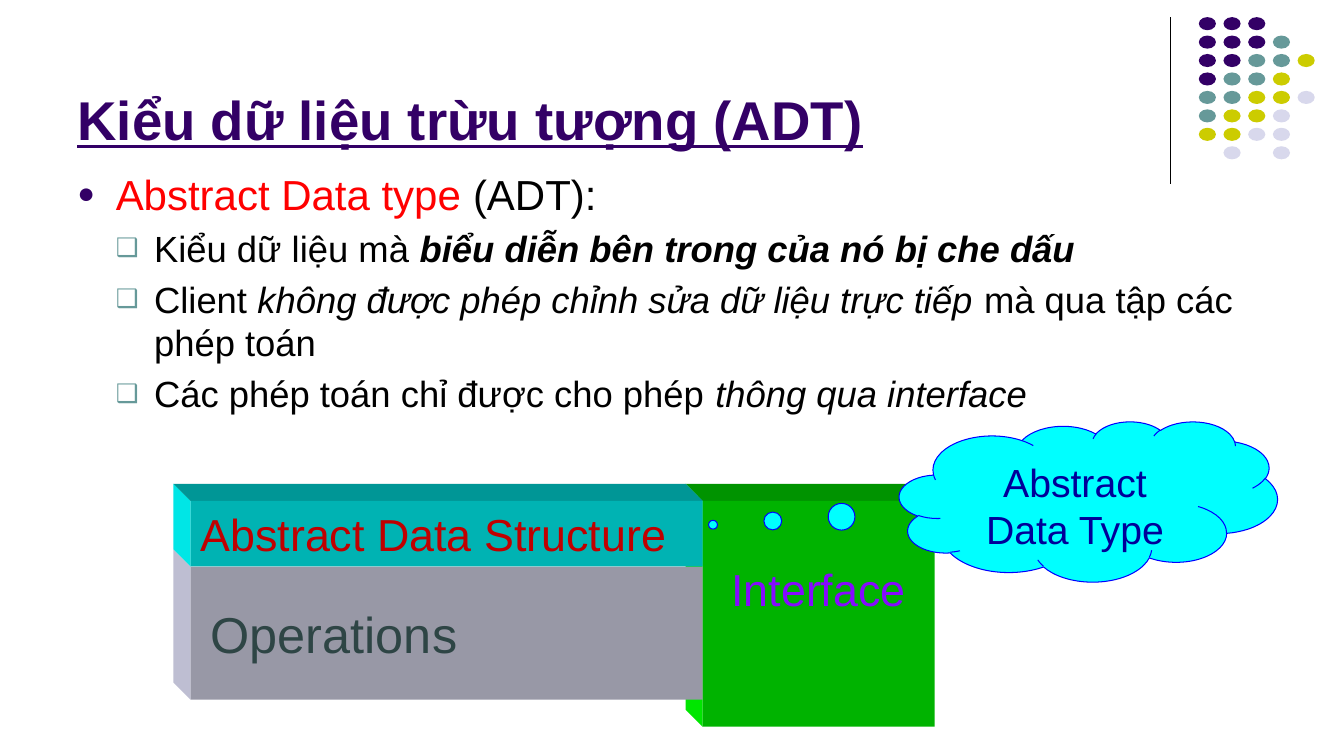
import pptx
import pptx.dml.color
import pptx.enum.shapes
import pptx.enum.text
import pptx.oxml
import pptx.oxml.ns
import pptx.util
from lxml import etree

Inches = pptx.util.Inches
Shape = pptx.enum.shapes.MSO_SHAPE
Anchor = pptx.enum.text.MSO_ANCHOR
Align = pptx.enum.text.PP_ALIGN

PURPLE, TEAL, OLIVE, LAVENDER = "330066", "669999", "CCCC00", "D8D8EC"
DOT_COLORS = {"P": PURPLE, "T": TEAL, "O": OLIVE, "L": LAVENDER}
DOT_ROWS = ["PPP", "PPPT", "PPTTO", "PTTO", "TTOOL", "TOOL", "OOLL", ".L.L"]
DEPTH = 0.17  # how far the blocks extend up and to the left


def color(hex_string):
    return pptx.dml.color.RGBColor.from_string(hex_string)


def paint(shape, fill, line=None):
    shape.shadow.inherit = False
    shape.fill.solid()
    shape.fill.fore_color.rgb = color(fill)
    if line:
        shape.line.color.rgb = color(line)
        shape.line.width = pptx.util.Pt(0.75)
    else:
        shape.line.fill.background()


def set_frame(shape, anchor, insets=(0.1, 0.05, 0.1, 0.05)):
    frame = shape.text_frame
    frame.word_wrap = True
    frame.vertical_anchor = anchor
    for side, inset in zip(("left", "top", "right", "bottom"), insets):
        setattr(frame, f"margin_{side}", Inches(inset))
    return frame


def add_run(paragraph, text, size, hex_string, **formats):
    run = paragraph.add_run()
    run.text = text
    run.font.color.rgb = color(hex_string)
    values = {"name": "Arial", "size": pptx.util.Pt(size), **formats}
    for name, value in values.items():
        setattr(run.font, name, value)


def add_bullet(paragraph, character, hex_string, margin, hanging):
    properties = paragraph._p.get_or_add_pPr()
    properties.set("marL", str(Inches(margin)))
    properties.set("indent", str(-Inches(hanging)))
    namespace = pptx.oxml.ns.nsdecls("a")
    for xml in (
        f'<a:buClr {namespace}><a:srgbClr val="{hex_string}"/></a:buClr>',
        f'<a:buSzPct {namespace} val="70000"/>',
        f'<a:buFont {namespace} typeface="Arial"/>',
        f'<a:buChar {namespace} char="{character}"/>',
    ):
        properties.append(pptx.oxml.parse_xml(xml))


def add_corner_ornament(slide, left, top, width, height):
    # Vertical rule
    rule = slide.shapes.add_connector(
        pptx.enum.shapes.MSO_CONNECTOR.STRAIGHT,
        Inches(left), Inches(top), Inches(left), Inches(top + height))
    rule.line.color.rgb = color("000000")
    rule.line.width = pptx.util.Pt(0.75)
    etree.SubElement(rule._element.spPr, pptx.oxml.ns.qn("a:effectLst"))

    # Dot grid, flush with the right edge of the box
    dot_width, dot_height, column_step, row_step = 0.17, 0.13, 0.245, 0.183
    grid_left = left + width - dot_width - 4 * column_step
    for row, codes in enumerate(DOT_ROWS):
        for column, code in enumerate(codes):
            if code in DOT_COLORS:
                dot = slide.shapes.add_shape(
                    Shape.OVAL,
                    Inches(grid_left + column * column_step),
                    Inches(top + row * row_step),
                    Inches(dot_width), Inches(dot_height))
                paint(dot, DOT_COLORS[code])


def add_title(slide, left, top, width, height):
    box = slide.shapes.add_textbox(*map(Inches, (left, top, width, height)))
    frame = set_frame(box, Anchor.BOTTOM)
    add_run(frame.paragraphs[0], "Kiểu dữ liệu trừu tượng (ADT)", 39, PURPLE,
            bold=True, underline=True)


def add_body(slide, left, top, width, height):
    box = slide.shapes.add_textbox(*map(Inches, (left, top, width, height)))
    frame = set_frame(box, Anchor.TOP)
    heading = frame.paragraphs[0]
    add_bullet(heading, "●", PURPLE, 0.38, 0.38)
    add_run(heading, "Abstract Data type ", 30, "FF0000")
    add_run(heading, "(ADT):", 30, "000000")

    emphasis = {"italic": True}
    points = [
        [("Kiểu dữ liệu mà ", {}),
         ("biểu diễn bên trong của nó bị che dấu", {"bold": True, "italic": True})],
        [("Client ", {}),
         ("không được phép chỉnh sửa dữ liệu trực tiếp", emphasis),
         (" mà qua tập các phép toán", {})],
        [("Các phép toán chỉ được cho phép ", {}),
         ("thông qua interface", emphasis)],
    ]
    for point in points:
        paragraph = frame.add_paragraph()
        paragraph.level = 1
        paragraph.space_before = pptx.util.Pt(5.2)
        add_bullet(paragraph, "❑", TEAL, 0.76, 0.38)
        for text, formats in point:
            add_run(paragraph, text, 26, "000000", **formats)


def add_face(slide, points, fill):
    corners = [(Inches(x), Inches(y)) for x, y in points]
    builder = slide.shapes.build_freeform(*corners[0], scale=1.0)
    builder.add_line_segments(corners[1:], close=True)
    paint(builder.convert_to_shape(), fill)


def add_block(slide, box, front, side, top_face=None):
    left, top, width, height = box
    right, bottom = left + width, top + height
    back_left, back_top = left - DEPTH, top - DEPTH
    add_face(slide, [(left, top), (back_left, back_top),
                     (back_left, bottom - DEPTH), (left, bottom)], side)
    if top_face:
        add_face(slide, [(left, top), (back_left, back_top),
                         (right - DEPTH, back_top), (right, top)], top_face)
    block = slide.shapes.add_shape(Shape.RECTANGLE, *map(Inches, box))
    paint(block, front)
    return block


def add_diagram(slide, left, top, width, height):
    data_width, data_height, operations_height = 5.08, 0.65, 1.32
    interface_left = left + data_width

    # Extruded blocks, back to front
    interface = add_block(
        slide, (interface_left, top, width - data_width, height),
        "00B300", "00E600", "009300")
    operations = add_block(
        slide, (left, top + data_height, data_width, operations_height),
        "9898A6", "BEBED2")
    data = add_block(
        slide, (left, top, data_width, data_height),
        "00B3B3", "00E6E6", "009696")

    # Cloud with its trail of bubbles
    cloud = slide.shapes.add_shape(
        Shape.CLOUD_CALLOUT, Inches(interface_left + 1.95), Inches(top - 0.79),
        Inches(3.75), Inches(1.59))
    cloud.adjustments[0] = -0.993
    cloud.adjustments[1] = 0.145
    paint(cloud, "00FFFF", "0000FF")

    # Labels
    middle, plain = Anchor.MIDDLE, (0.1, 0.05, 0.1, 0.05)
    for shape, text, size, hex_string, align, anchor, insets in (
        (interface, "Interface", 32, "850AFF", Align.CENTER, Anchor.TOP,
         (0.1, 0.6, 0.1, 0.05)),
        (operations, "Operations", 36, "2E4545", Align.LEFT, middle,
         (0.2, 0.05, 0.1, 0.05)),
        (data, "Abstract Data Structure", 32, "C00000", Align.LEFT, middle, plain),
        (cloud, "Abstract Data Type", 28, "000099", Align.CENTER, middle,
         (0.1, 0.2, 0.1, 0.05)),
    ):
        paragraph = set_frame(shape, anchor, insets).paragraphs[0]
        paragraph.alignment = align
        add_run(paragraph, text, size, hex_string)


def main():
    presentation = pptx.Presentation()
    presentation.slide_width = Inches(13.33)
    presentation.slide_height = Inches(7.5)
    slide = presentation.slides.add_slide(presentation.slide_layouts[6])
    add_corner_ornament(slide, 11.61, 0.17, 1.43, 1.66)
    add_title(slide, 0.67, 0.13, 11, 1.42)
    add_body(slide, 0.67, 1.62, 12, 4.76)
    add_diagram(slide, 1.89, 4.97, 7.38, 2.24)
    presentation.save("out.pptx")


if __name__ == "__main__":
    main()
